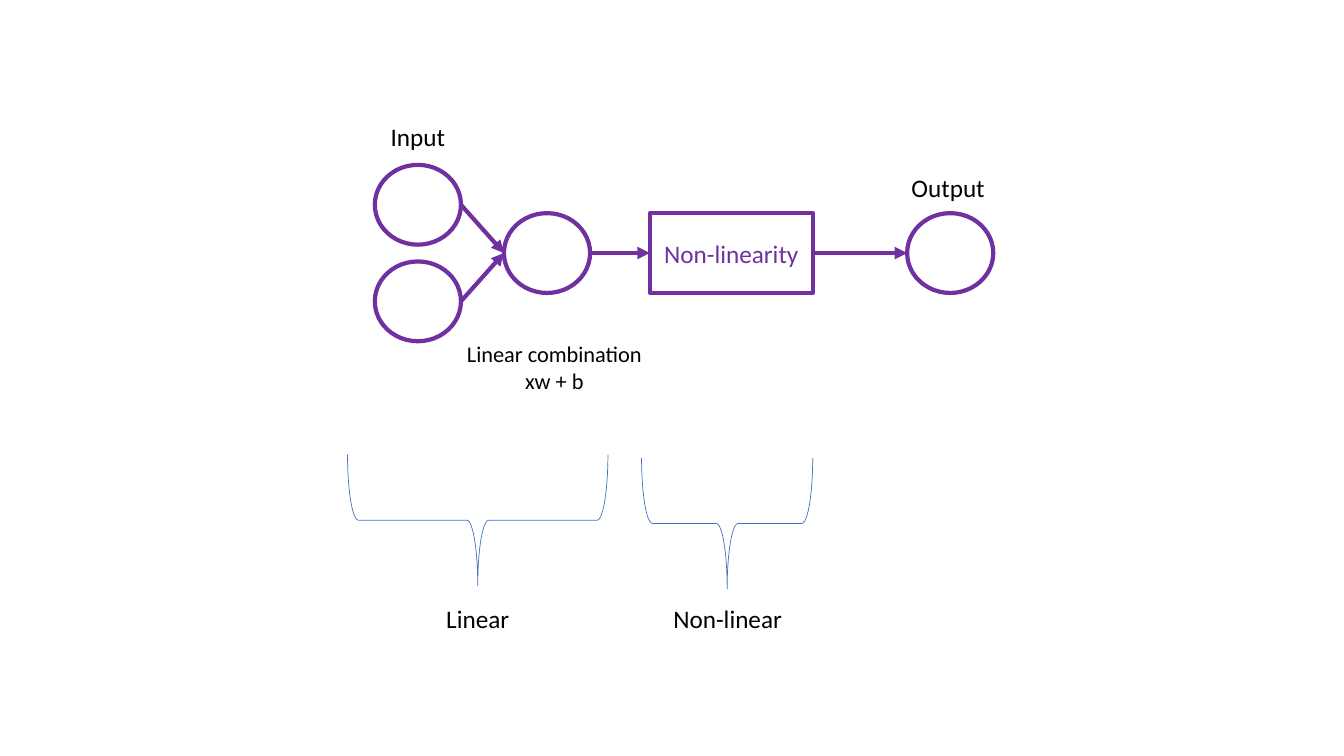
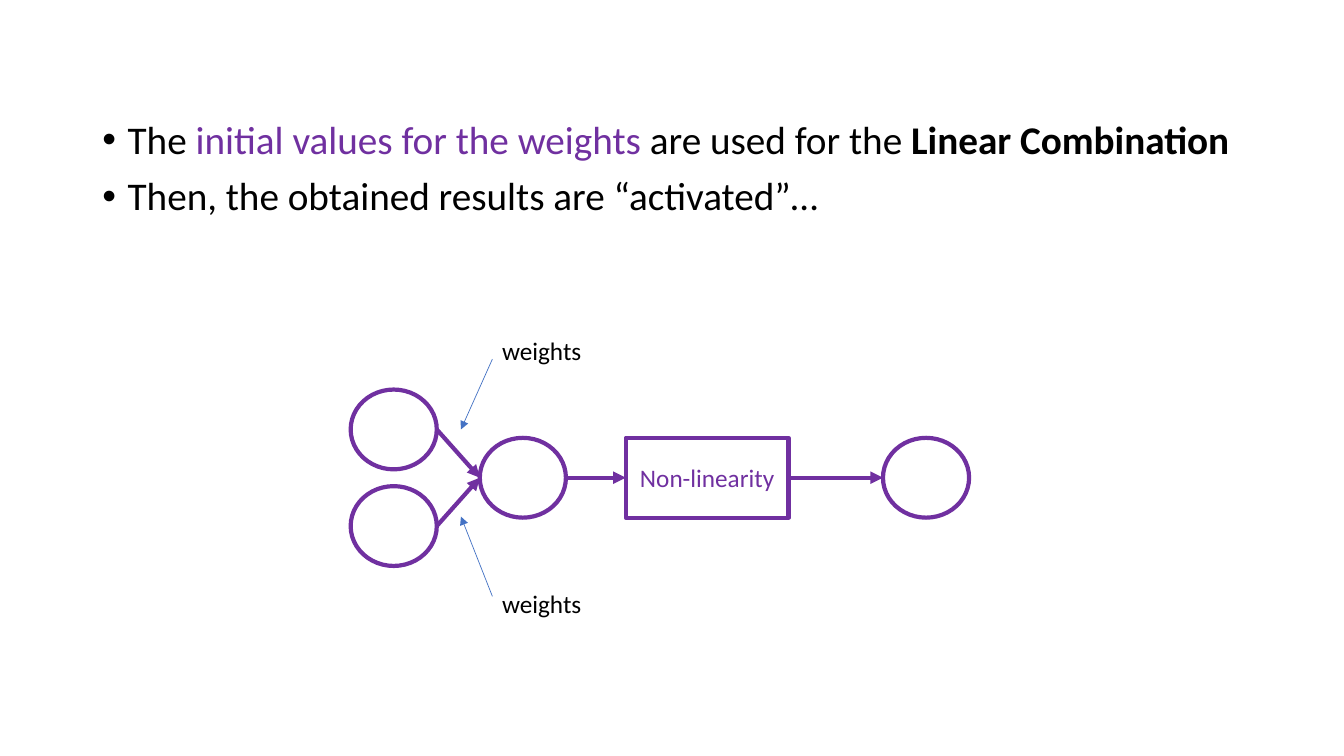
from lxml.etree import SubElement
from pptx import Presentation
from pptx.dml.color import RGBColor
from pptx.enum.shapes import MSO_CONNECTOR, MSO_SHAPE
from pptx.enum.text import MSO_ANCHOR, PP_ALIGN
from pptx.oxml.ns import qn
from pptx.util import Pt

SCALE = 9525
FONT = "Calibri"
PURPLE, BLUE, BLACK = "7030A0", "4472C4", "000000"

NODE_W, NODE_H = 82, 76
BOX_W = 155
NODES = {"in1": (0, 0), "in2": (0, 92), "sum": (123, 46), "out": (507, 46)}
BOX_X, BOX_Y = 262, 46

LABELS_1 = [
    (["Input"], 398, 111, 18),
    (["Output"], 903, 159, 18),
    (["Linear combination", "xw + b"], 528, 319, 16),
    (["Linear"], 455, 570, 18),
    (["Non-linear"], 693, 570, 18),
]
LABELS_2 = [(["weights"], 516, 315, 18), (["weights"], 516, 556, 18)]
BRACES = [(331, 433, 248), (611, 436, 163)]
DROP = 125
HINTS = [((469, 342), (439, 409)), ((469, 568), (439, 492))]
BULLETS = [
    [("The ", BLACK, False), ("initial values for the weights", PURPLE, False),
     (" are used for the ", BLACK, False), ("Linear Combination", BLACK, True)],
    [("Then, the obtained results are “activated”…", BLACK, False)],
]


def px(*nums):
    return [round(n * SCALE) for n in nums]


def style(font, size, color, bold=False):
    font.name, font.size, font.bold = FONT, Pt(size), bold
    font.color.rgb = RGBColor.from_string(color)


def stroke(line, color, width):
    line.color.rgb = RGBColor.from_string(color)
    line.width = Pt(width)


def shape(slide, kind, x, y, w, h, color=PURPLE, width=3):
    item = slide.shapes.add_shape(kind, *px(x, y, w, h))
    item.shadow.inherit = False
    item.fill.background()
    stroke(item.line, color, width)
    return item


def arrow(slide, start, end, color=PURPLE, width=3):
    item = slide.shapes.add_connector(
        MSO_CONNECTOR.STRAIGHT, *px(*start, *end))
    stroke(item.line, color, width)
    props = item.element.spPr
    SubElement(props.find(qn("a:ln")), qn("a:tailEnd"), type="triangle")
    SubElement(props, qn("a:effectLst"))
    return item


def label(slide, lines, mid, y, size):
    wide = 214
    item = slide.shapes.add_textbox(
        *px(mid - wide / 2, y, wide, 12 + 26 * len(lines)))
    frame = item.text_frame
    frame.word_wrap = True
    frame.text = "\n".join(lines)
    for para in frame.paragraphs:
        para.alignment = PP_ALIGN.CENTER
        style(para.font, size, BLACK)


def brace(slide, x, y, span):
    item = shape(slide, MSO_SHAPE.RIGHT_BRACE, x + (span - DROP) / 2,
                 y + (DROP - span) / 2, DROP, span, BLUE, 0.5)
    item.rotation = 90


def graph(slide, x, y):
    left, right = {}, {}
    for name, (dx, dy) in NODES.items():
        shape(slide, MSO_SHAPE.OVAL, x + dx, y + dy, NODE_W, NODE_H)
        left[name] = (x + dx, y + dy + NODE_H / 2)
        right[name] = (x + dx + NODE_W, y + dy + NODE_H / 2)
    box = shape(slide, MSO_SHAPE.RECTANGLE, x + BOX_X, y + BOX_Y,
                BOX_W, NODE_H)
    frame = box.text_frame
    frame.text = "Non-linearity"
    frame.vertical_anchor = MSO_ANCHOR.MIDDLE
    para = frame.paragraphs[0]
    para.alignment = PP_ALIGN.CENTER
    style(para.font, 18, PURPLE)
    for name in ("in1", "in2"):
        arrow(slide, right[name], left["sum"])
    row = left["sum"][1]
    arrow(slide, right["sum"], (x + BOX_X, row)).end_connect(box, 1)
    arrow(slide, (x + BOX_X + BOX_W, row), left["out"]).begin_connect(box, 3)


def bullets(body):
    body.left, body.top, body.width, body.height = px(88, 110, 1104, 538)
    frame = body.text_frame
    for i, parts in enumerate(BULLETS):
        para = frame.add_paragraph() if i else frame.paragraphs[0]
        props = para._p.get_or_add_pPr()
        props.set("marL", str(24 * SCALE))
        props.set("indent", str(-24 * SCALE))
        SubElement(props, qn("a:buFont"), typeface="Arial")
        SubElement(props, qn("a:buChar"), char="•")
        para.line_spacing = 0.9
        para.space_before = Pt(10 if i else 0)
        for text, color, bold in parts:
            run = para.add_run()
            run.text = text
            style(run.font, 28, color, bold)


def main():
    deck = Presentation()
    deck.slide_width, deck.slide_height = px(1280, 720)

    first = deck.slides.add_slide(deck.slide_layouts[6])
    graph(first, 357, 157)
    for item in LABELS_1:
        label(first, *item)
    for item in BRACES:
        brace(first, *item)

    second = deck.slides.add_slide(deck.slide_layouts[1])
    title = second.shapes.title.element
    title.getparent().remove(title)
    bullets(second.placeholders[1])
    graph(second, 334, 371)
    for start, end in HINTS:
        arrow(second, start, end, BLUE, 0.5)
    for item in LABELS_2:
        label(second, *item)

    deck.save("out.pptx")


if __name__ == "__main__":
    main()
